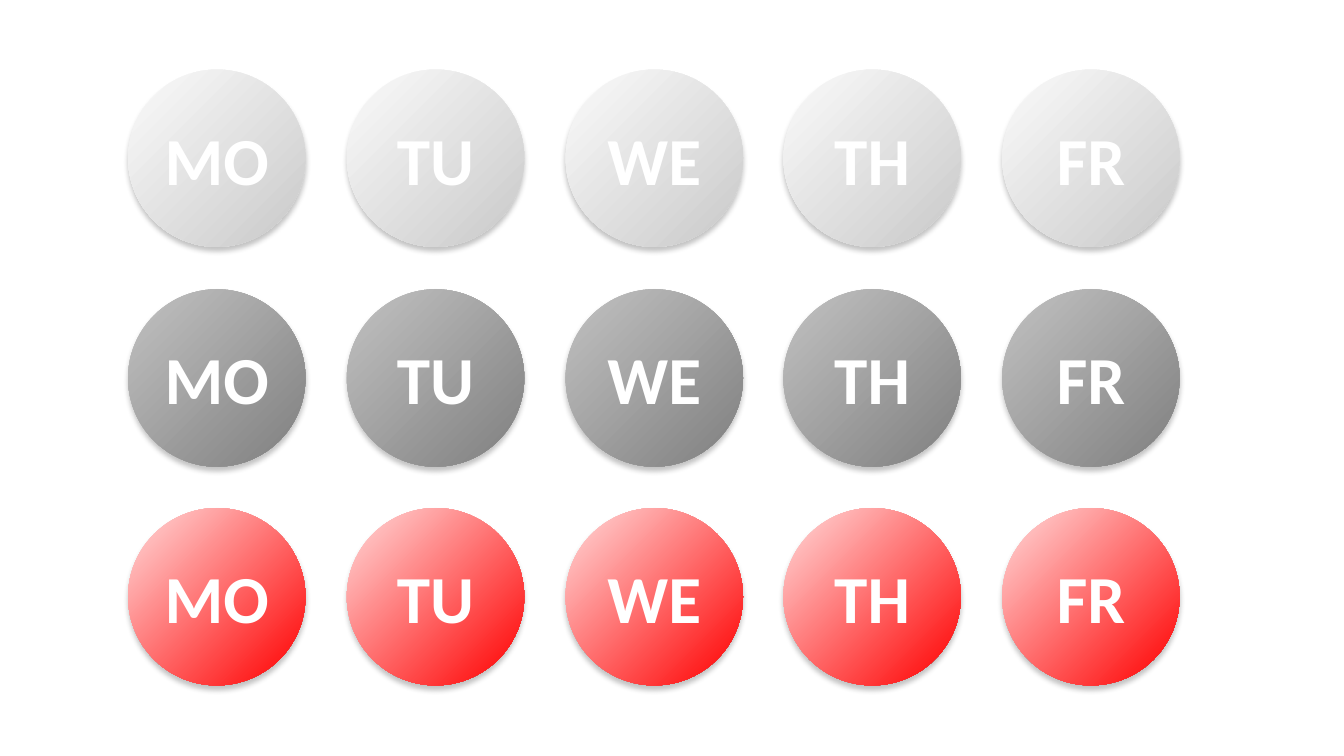
from dataclasses import dataclass
from math import floor

from lxml.etree import SubElement
from pptx import Presentation
from pptx.dml.color import RGBColor
from pptx.enum.shapes import MSO_SHAPE
from pptx.enum.text import MSO_ANCHOR, PP_ALIGN
from pptx.oxml.ns import qn
from pptx.util import Pt

PX = 9144  # EMU per px, 100 px to the inch


@dataclass(frozen=True)
class Theme:
    font: str = "Calibri"
    size: int = 48
    text: str = "FFFFFF"
    shadow: str = "000000"
    # one gradient per row: (position, colour) of both stops
    rows: tuple = (
        ((0.07, "F7F7F7"), (1.0, "C9C9C9")),
        ((0.07, "BDBDBD"), (0.99, "808080")),
        ((0.07, "FFCCCC"), (0.99, "FF0000")),
    )


THEME = Theme()
DAYS = ("MO", "TU", "WE", "TH", "FR")
DIAMETER = 176
FIRST_LEFT, LAST_LEFT = 127, 994
FIRST_TOP, LAST_TOP = 69, 504


def spread(first, last, count):
    """Return count evenly spaced whole px positions from first to last."""
    step = (last - first) / (count - 1)
    return [floor(first + i * step + 0.5) for i in range(count)]


def add_soft_shadow(sp):
    sp.shadow.inherit = False
    effects = sp._element.spPr.find(qn("a:effectLst"))
    shadow = SubElement(effects, qn("a:outerShdw"), blurRad=str(Pt(4)),
                        dist=str(Pt(3)), dir="5400000", algn="t", rotWithShape="0")
    color = SubElement(shadow, qn("a:srgbClr"), val=THEME.shadow)
    SubElement(color, qn("a:alpha"), val="24000")


prs = Presentation()
prs.slide_width, prs.slide_height = 1333 * PX, 750 * PX
s = prs.slides.add_slide(prs.slide_layouts[6])

lefts = spread(FIRST_LEFT, LAST_LEFT, len(DAYS))
tops = spread(FIRST_TOP, LAST_TOP, len(THEME.rows))

for top, gradient in zip(tops, THEME.rows):
    for left, day in zip(lefts, DAYS):
        sp = s.shapes.add_shape(MSO_SHAPE.OVAL, left * PX, top * PX,
                                DIAMETER * PX, DIAMETER * PX)
        sp.fill.gradient()
        sp.fill.gradient_angle = 315  # counter-clockwise: towards bottom right
        for stop, (position, color) in zip(sp.fill.gradient_stops, gradient):
            stop.position = position
            stop.color.rgb = RGBColor.from_string(color)
        sp.line.fill.background()
        add_soft_shadow(sp)

        tf = sp.text_frame
        tf.word_wrap = True
        tf.margin_left = tf.margin_right = 0
        tf.vertical_anchor = MSO_ANCHOR.MIDDLE
        p = tf.paragraphs[0]
        p.alignment = PP_ALIGN.CENTER
        r = p.add_run()
        r.text = day
        r.font.name = THEME.font
        r.font.size = Pt(THEME.size)
        r.font.bold = True
        r.font.color.rgb = RGBColor.from_string(THEME.text)

prs.save("out.pptx")
